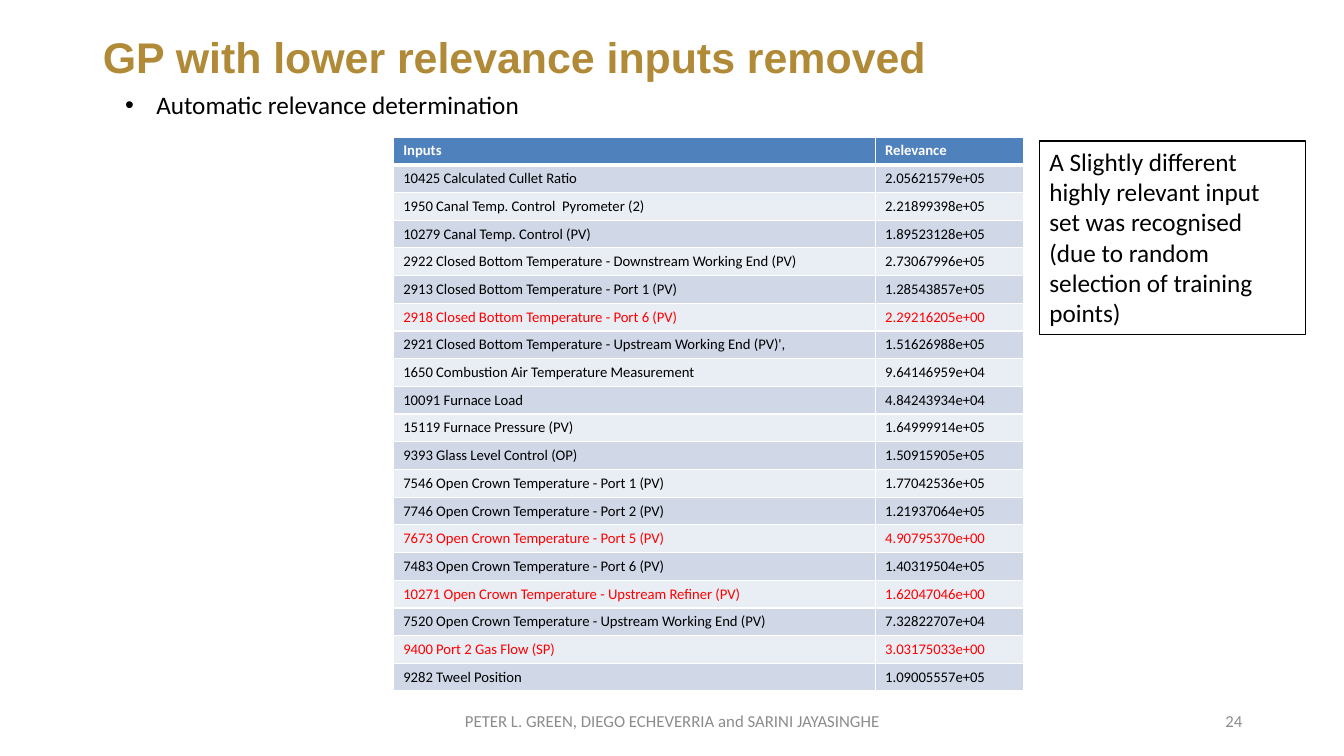
import dataclasses

import lxml.etree
import pptx
import pptx.dml.color
import pptx.enum.shapes
import pptx.enum.text
import pptx.oxml.ns
import pptx.util

PX = 9144  # EMU per px, 100 px to the inch
COLOURS = {
    "gold": "B18A38",
    "grey": "8C8C8C",
    "black": "000000",
    "white": "FFFFFF",
    "red": "FF0000",
    "header": "4F81BD",
    "dark band": "D0D8E8",
    "light band": "E9EDF4",
}
ALIGN = pptx.enum.text.PP_ALIGN
ANCHOR = pptx.enum.text.MSO_ANCHOR


@dataclasses.dataclass(frozen=True)
class Area:
    left: int
    top: int
    width: int
    height: int

    def emu(self) -> list[int]:
        return [value * PX for value in dataclasses.astuple(self)]


@dataclasses.dataclass(frozen=True)
class Style:
    size: float
    colour: str
    bold: bool = False
    name: str = "Calibri"


@dataclasses.dataclass(frozen=True)
class Footer:
    area: Area
    text: str
    align: ALIGN


@dataclasses.dataclass(frozen=True)
class Reading:
    name: str
    relevance: str
    low: bool = False


FOOTERS = [
    Footer(Area(442, 695, 450, 40),
           "PETER L. GREEN, DIEGO ECHEVERRIA and SARINI JAYASINGHE", ALIGN.CENTER),
    Footer(Area(942, 695, 300, 40), "24", ALIGN.RIGHT),
]
READINGS = [
    Reading("10425 Calculated Cullet Ratio", "2.05621579e+05"),
    Reading("1950 Canal Temp. Control  Pyrometer (2)", "2.21899398e+05"),
    Reading("10279 Canal Temp. Control (PV)", "1.89523128e+05"),
    Reading("2922 Closed Bottom Temperature - Downstream Working End (PV)", "2.73067996e+05"),
    Reading("2913 Closed Bottom Temperature - Port 1 (PV)", "1.28543857e+05"),
    Reading("2918 Closed Bottom Temperature - Port 6 (PV)", "2.29216205e+00", low=True),
    Reading("2921 Closed Bottom Temperature - Upstream Working End (PV)',", "1.51626988e+05"),
    Reading("1650 Combustion Air Temperature Measurement", "9.64146959e+04"),
    Reading("10091 Furnace Load", "4.84243934e+04"),
    Reading("15119 Furnace Pressure (PV)", "1.64999914e+05"),
    Reading("9393 Glass Level Control (OP)", "1.50915905e+05"),
    Reading("7546 Open Crown Temperature - Port 1 (PV)", "1.77042536e+05"),
    Reading("7746 Open Crown Temperature - Port 2 (PV)", "1.21937064e+05"),
    Reading("7673 Open Crown Temperature - Port 5 (PV)", "4.90795370e+00", low=True),
    Reading("7483 Open Crown Temperature - Port 6 (PV)", "1.40319504e+05"),
    Reading("10271 Open Crown Temperature - Upstream Refiner (PV)", "1.62047046e+00", low=True),
    Reading("7520 Open Crown Temperature - Upstream Working End (PV)", "7.32822707e+04"),
    Reading("9400 Port 2 Gas Flow (SP)", "3.03175033e+00", low=True),
    Reading("9282 Tweel Position", "1.09005557e+05"),
]
NOTES = [
    "A Slightly different highly relevant input set was recognised",
    "(due to random selection of training points)",
]


def rgb(colour: str) -> pptx.dml.color.RGBColor:
    return pptx.dml.color.RGBColor.from_string(COLOURS[colour])


def place(shape, area: Area) -> None:
    shape.left, shape.top, shape.width, shape.height = area.emu()


def write(para, text: str, style: Style, align: ALIGN = ALIGN.LEFT) -> None:
    para.alignment = align
    span = para.add_run()
    span.text = text
    span.font.name = style.name
    span.font.size = pptx.util.Pt(style.size)
    span.font.bold = style.bold
    span.font.color.rgb = rgb(style.colour)


def prepare(frame, anchor: ANCHOR = ANCHOR.TOP) -> None:
    frame.word_wrap = True
    frame.auto_size = pptx.enum.text.MSO_AUTO_SIZE.NONE
    frame.vertical_anchor = anchor


def add_child(parent, tag: str, **attributes: str):
    return lxml.etree.SubElement(parent, pptx.oxml.ns.qn(tag), attributes)


def add_bullet(para, indent: int) -> None:
    properties = para._p.get_or_add_pPr()
    properties.set("marL", str(indent * PX))
    properties.set("indent", str(-indent * PX))
    add_child(properties, "a:buFont", typeface="Arial")
    add_child(properties, "a:buChar", char="•")


def add_borders(cell, bottom: int) -> None:
    properties = cell._tc.get_or_add_tcPr()
    for side, points in {"L": 1, "R": 1, "T": 1, "B": bottom}.items():
        line = add_child(properties, f"a:ln{side}", w=str(pptx.util.Pt(points)))
        add_child(add_child(line, "a:solidFill"), "a:srgbClr", val=COLOURS["white"])


def fill_cell(cell, text: str, style: Style, fill: str, bottom: int = 1) -> None:
    add_borders(cell, bottom)
    cell.fill.solid()
    cell.fill.fore_color.rgb = rgb(fill)
    cell.margin_top = cell.margin_bottom = 4 * PX
    cell.vertical_anchor = ANCHOR.MIDDLE
    write(cell.text_frame.paragraphs[0], text, style)


def add_footer(page, footer: Footer) -> None:
    box = page.shapes.add_textbox(*footer.area.emu())
    prepare(box.text_frame, ANCHOR.MIDDLE)
    write(box.text_frame.paragraphs[0], footer.text, Style(12, "grey"), footer.align)


def add_relevance_table(page, area: Area, widths: list[int]) -> None:
    row_count = len(READINGS) + 1
    table = page.shapes.add_table(row_count, len(widths), *area.emu()).table
    for column, width in zip(table.columns, widths):
        column.width = width * PX
    for cell, heading in zip(table.rows[0].cells, ["Inputs", "Relevance"]):
        fill_cell(cell, heading, Style(10.5, "white", bold=True), "header", bottom=3)
    for index, reading in enumerate(READINGS, start=1):
        style = Style(10.5, "red" if reading.low else "black")
        band = "dark band" if index % 2 else "light band"
        for cell, text in zip(table.rows[index].cells, [reading.name, reading.relevance]):
            fill_cell(cell, text, style, band)


def add_note(page, area: Area) -> None:
    box = page.shapes.add_shape(pptx.enum.shapes.MSO_SHAPE.RECTANGLE, *area.emu())
    box.shadow.inherit = False
    box.fill.solid()
    box.fill.fore_color.rgb = rgb("white")
    box.line.color.rgb = rgb("black")
    box.line.width = pptx.util.Pt(1)
    prepare(box.text_frame)
    for index, text in enumerate(NOTES):
        para = box.text_frame.add_paragraph() if index else box.text_frame.paragraphs[0]
        write(para, text, Style(18, "black"))


def main() -> None:
    deck = pptx.Presentation()
    deck.slide_width, deck.slide_height = 1333 * PX, 750 * PX
    page = deck.slides.add_slide(deck.slide_layouts[1])

    # Title
    title = page.shapes.title
    place(title, Area(92, 40, 1150, 39))
    prepare(title.text_frame, ANCHOR.MIDDLE)
    para = title.text_frame.paragraphs[0]
    para.line_spacing = 0.9
    write(para, "GP with lower relevance inputs removed", Style(30.6, "gold", True, "Arial"))

    # Bulleted list
    body = page.placeholders[1]
    place(body, Area(114, 84, 982, 40))
    prepare(body.text_frame)
    para = body.text_frame.paragraphs[0]
    para.space_before = pptx.util.Pt(0)
    add_bullet(para, 31)
    write(para, "Automatic relevance determination", Style(18, "black"))

    # Table and note
    add_relevance_table(page, Area(390, 136, 625, 550), [478, 147])
    add_note(page, Area(1031, 140, 264, 192))

    # Footer
    for footer in FOOTERS:
        add_footer(page, footer)

    deck.save("out.pptx")


if __name__ == "__main__":
    main()
